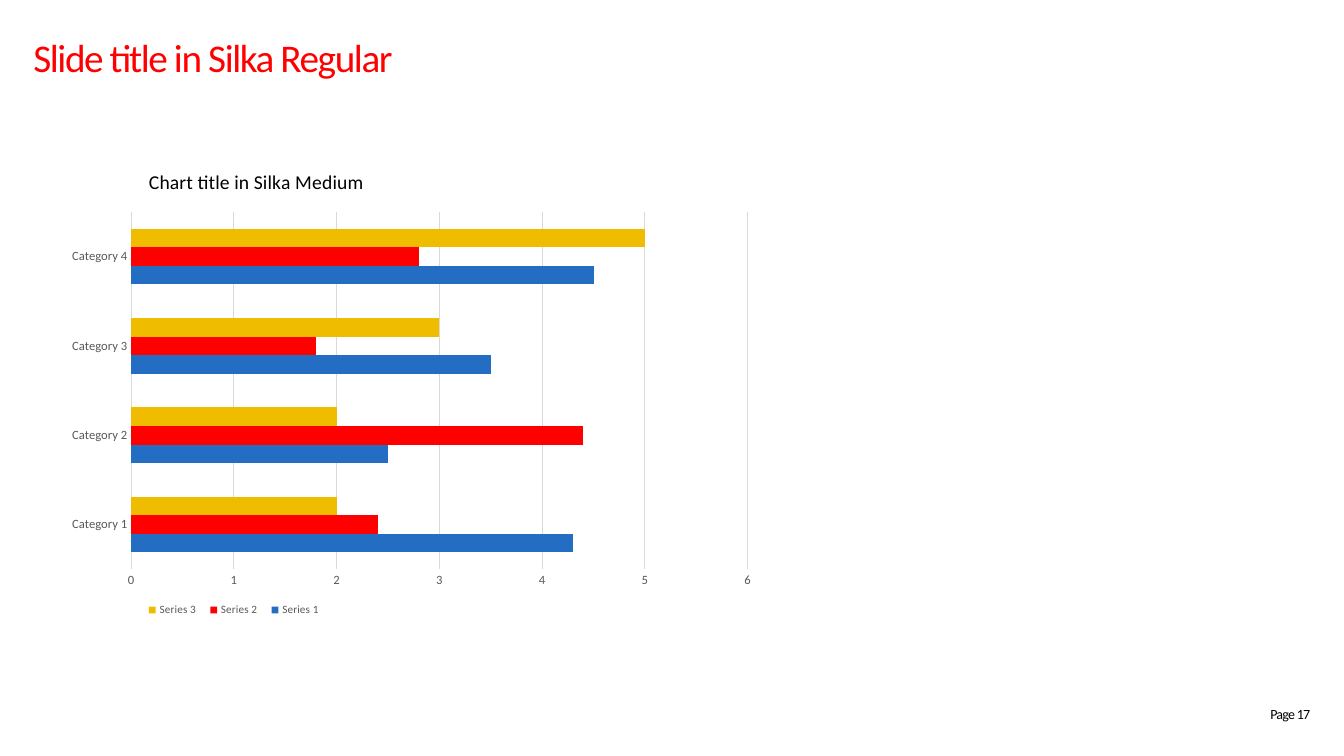
from dataclasses import dataclass

from lxml.etree import SubElement
from pptx import Presentation
from pptx.chart.data import CategoryChartData
from pptx.dml.color import RGBColor
from pptx.enum.chart import XL_CHART_TYPE as ChartType
from pptx.enum.chart import XL_LEGEND_POSITION as LegendPosition
from pptx.enum.chart import XL_TICK_MARK as TickMark
from pptx.enum.text import MSO_ANCHOR as Anchor
from pptx.enum.text import PP_ALIGN as Align
from pptx.oxml.ns import qn
from pptx.util import Cm, Pt


@dataclass(frozen=True)
class Theme:
    font: str = "Calibri"
    black: str = "000000"
    red: str = "FF0000"
    blue: str = "236EC3"
    yellow: str = "F0BC00"
    label_grey: str = "595959"
    line_grey: str = "D9D9D9"
    title_size: float = 28
    chart_title_size: float = 14
    body_size: float = 10
    axis_size: float = 9
    legend_size: float = 8
    line_width: float = 0.75


@dataclass(frozen=True)
class Label:
    text: str
    left: float
    top: float
    width: float
    height: float
    size: float
    color: str
    spacing: int  # hundredths of a point
    align: Align
    anchor: Anchor


@dataclass(frozen=True)
class Series:
    name: str
    values: tuple[float, ...]
    color: str


THEME = Theme()

LABELS = (
    Label("Page 17", 25.4, 17.78, 7.62, 0.43, THEME.body_size, THEME.black,
          -50, Align.RIGHT, Anchor.MIDDLE),
    Label("Slide title in Silka Regular", 0.84, 0.84, 32.18, 1.19,
          THEME.title_size, THEME.red, -100, Align.LEFT, Anchor.TOP),
)

CATEGORIES = tuple(f"Category {number}" for number in range(1, 5))
SERIES = (
    Series("Series 1", (4.3, 2.5, 3.5, 4.5), THEME.blue),
    Series("Series 2", (2.4, 4.4, 1.8, 2.8), THEME.red),
    Series("Series 3", (2, 2, 3, 5), THEME.yellow),
)


def style_font(font, size: float, color: str) -> None:
    font.name = THEME.font
    font.size = Pt(size)
    font.bold = False
    font.color.rgb = RGBColor.from_string(color)


def style_line(line) -> None:
    line.color.rgb = RGBColor.from_string(THEME.line_grey)
    line.width = Pt(THEME.line_width)


def add_label(slide, label: Label) -> None:
    shape = slide.shapes.add_textbox(
        Cm(label.left), Cm(label.top), Cm(label.width), Cm(label.height))
    frame = shape.text_frame
    frame.word_wrap = True
    frame.vertical_anchor = label.anchor
    frame.margin_left = frame.margin_right = 0
    frame.margin_top = frame.margin_bottom = 0
    paragraph = frame.paragraphs[0]
    paragraph.alignment = label.align
    run = paragraph.add_run()
    run.text = label.text
    style_font(paragraph.font, label.size, label.color)
    run.font._element.set("spc", str(label.spacing))


def place(element, inner: bool = False, **fractions: float) -> None:
    """Place a chart part by fractions of the chart's size."""
    layout = element.get_or_add_layout() if hasattr(
        element, "get_or_add_layout") else element.find(qn("c:layout"))
    if layout is None:
        layout = element.makeelement(qn("c:layout"))
        element.insert(0, layout)
    for child in list(layout):
        layout.remove(child)
    manual = SubElement(layout, qn("c:manualLayout"))
    if inner:
        SubElement(manual, qn("c:layoutTarget")).set("val", "inner")
    for side in ("x", "y"):
        SubElement(manual, qn(f"c:{side}Mode")).set("val", "edge")
    for side, fraction in fractions.items():
        SubElement(manual, qn(f"c:{side}")).set("val", str(fraction))


def add_bar_chart(slide) -> None:
    data = CategoryChartData()
    data.categories = CATEGORIES
    for series in SERIES:
        data.add_series(series.name, series.values)
    chart = slide.shapes.add_chart(
        ChartType.BAR_CLUSTERED, Cm(1.52), Cm(3.78), Cm(17.86), Cm(12.01),
        data).chart
    style_font(chart.font, THEME.body_size, THEME.black)

    # Bars
    plot = chart.plots[0]
    plot.gap_width = 182
    plot.vary_by_categories = False
    for bars, series in zip(plot.series, SERIES):
        bars.format.fill.solid()
        bars.format.fill.fore_color.rgb = RGBColor.from_string(series.color)
    place(chart._chartSpace.chart.plotArea, inner=True,
          x=0.1, y=0.13, w=0.87, h=0.75)

    # Axes
    for axis in (chart.category_axis, chart.value_axis):
        axis.major_tick_mark = axis.minor_tick_mark = TickMark.NONE
        style_font(axis.tick_labels.font, THEME.axis_size, THEME.label_grey)
    style_line(chart.category_axis.format.line)
    value_axis = chart.value_axis
    value_axis.minimum_scale, value_axis.maximum_scale = 0, 6
    value_axis.major_unit = 1
    value_axis.format.line.fill.background()
    style_line(value_axis.major_gridlines.format.line)

    # Chart title
    title = chart.chart_title
    paragraph = title.text_frame.paragraphs[0]
    paragraph.add_run().text = "Chart title in Silka Medium"
    style_font(paragraph.font, THEME.chart_title_size, THEME.black)
    title.include_in_layout = False if hasattr(
        title, "include_in_layout") else None
    place(title._element, x=0.12, y=0.03)

    # Legend
    chart.has_legend = True
    legend = chart.legend
    legend.position = LegendPosition.BOTTOM
    legend.include_in_layout = False
    style_font(legend.font, THEME.legend_size, THEME.label_grey)
    layout = legend._element.makeelement(qn("c:layout"))
    legend._element.find(qn("c:legendPos")).addnext(layout)
    place(legend._element, x=0.11, y=0.94, w=0.27, h=0.05)


def main() -> None:
    presentation = Presentation()
    presentation.slide_width = Cm(33.87)
    presentation.slide_height = Cm(19.05)
    slide = presentation.slides.add_slide(presentation.slide_layouts[6])
    for label in LABELS:
        add_label(slide, label)
    add_bar_chart(slide)
    presentation.save("out.pptx")


if __name__ == "__main__":
    main()
